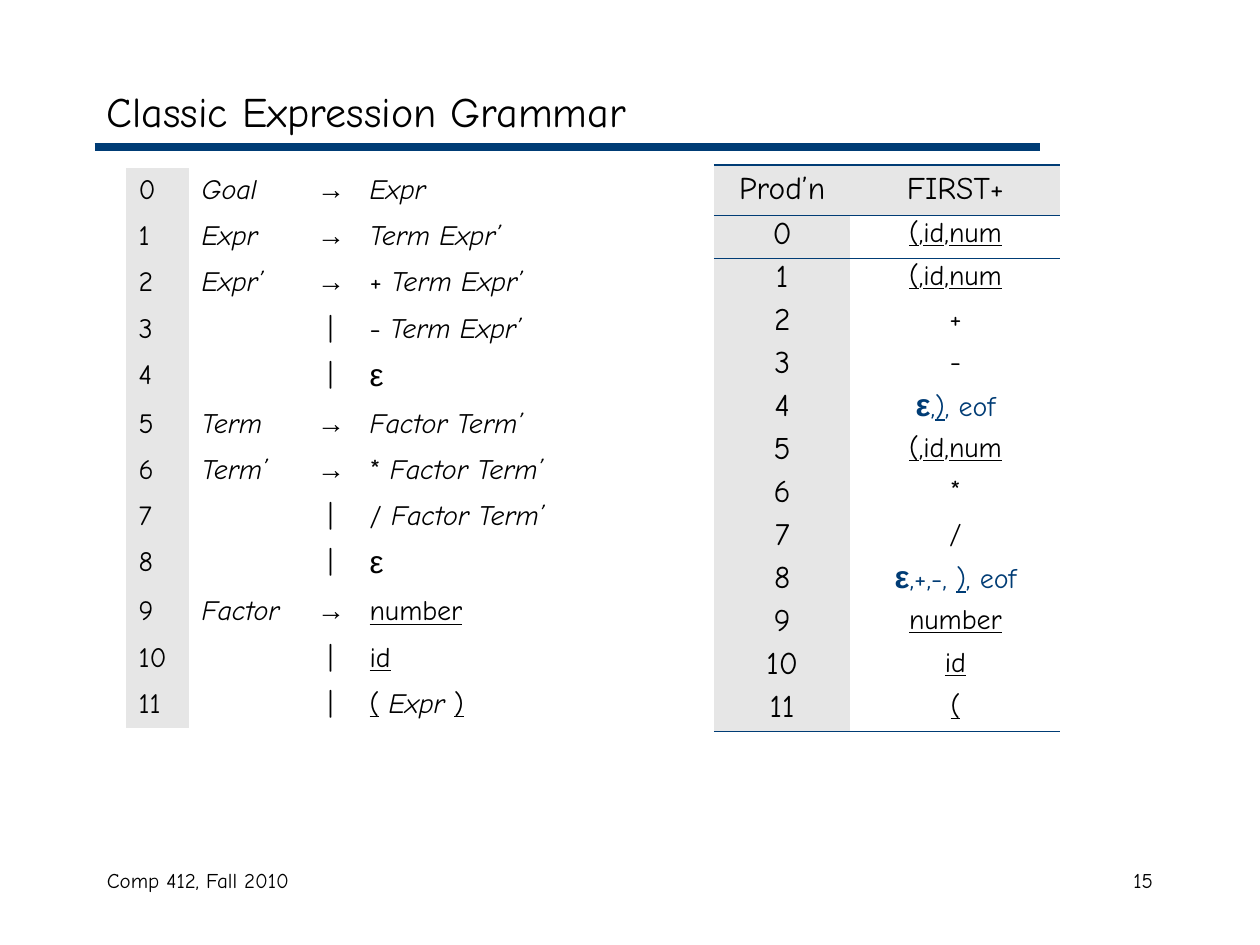
from lxml.etree import SubElement
from pptx import Presentation
from pptx.dml.color import RGBColor
from pptx.enum.shapes import MSO_CONNECTOR
from pptx.enum.text import MSO_ANCHOR, PP_ALIGN
from pptx.oxml.ns import qn
from pptx.util import Inches, Pt

COLORS = {"ink": "000000", "navy": "003C75", "grey": "E6E6E6"}
NO_STYLE_NO_GRID = "{2D5ABB26-0587-4C30-8999-92F81FD0307C}"
UNIT = Inches(1) / 12  # the slide is a grid of 120 columns and 90 rows


def write(frame, spans, size=16, color="ink", align=PP_ALIGN.LEFT, spacing=None, before=None):
    """Fill a frame with (text, style) spans; style letters: i italic, u underlined, a Arial,
    b bold, L large."""
    frame.word_wrap = True
    para = frame.paragraphs[0]
    para.alignment = align
    if spacing:
        para.line_spacing = spacing
    if before:
        para.space_before = Pt(before)
    for text, style in spans:
        span = para.add_run()
        span.text = text
        font = span.font
        font.name = "Arial" if "a" in style else "Comic Neue"
        font.size = Pt(18 if "L" in style else size)
        font.italic, font.underline, font.bold = ("i" in style), ("u" in style), ("b" in style)
        font.color.rgb = RGBColor.from_string(COLORS[color])
    if not spans:
        para._p.get_or_add_endParaRPr().set("sz", str(size * 100))


def add_plain_table(left, top, columns, rows):
    frame = page.shapes.add_table(len(rows), len(columns), int(left * UNIT), int(top * UNIT),
                                  int(sum(columns) * UNIT), int(sum(rows) * UNIT))
    table = frame.table
    table.first_row = table.horz_banding = False
    table._tbl.tblPr.find(qn("a:tableStyleId")).text = NO_STYLE_NO_GRID
    for column, width in zip(table.columns, columns):
        column.width = int(width * UNIT)
    for row, height in zip(table.rows, rows):
        row.height = int(height * UNIT)
    return table


deck = Presentation()
deck.slide_width, deck.slide_height = Inches(10), Inches(7.5)
page = deck.slides.add_slide(deck.slide_layouts[6])

rule = page.shapes.add_connector(MSO_CONNECTOR.STRAIGHT, *(int(n * UNIT) for n in (9, 14, 99, 14)))
rule.line.color.rgb = RGBColor.from_string(COLORS["navy"])
rule.line.width = Pt(4.5)
SubElement(rule._element.spPr, qn("a:effectLst"))

# Title, footer and page number
for text, place, size, align, anchor in [
    ("Classic Expression Grammar", (9, 7, 102, 7), 24, PP_ALIGN.LEFT, MSO_ANCHOR.MIDDLE),
    ("Comp 412, Fall 2010", (9, 82, 38, 6), 12, PP_ALIGN.LEFT, MSO_ANCHOR.TOP),
    ("15", (86, 82, 25, 6), 12, PP_ALIGN.RIGHT, MSO_ANCHOR.TOP),
]:
    box = page.shapes.add_textbox(*(int(n * UNIT) for n in place))
    box.text_frame.vertical_anchor = anchor
    write(box.text_frame, [(text, "")], size=size, align=align)

# FIRST+ sets, one for each production
token_set = [("(", "u"), (",", ""), ("id", "u"), (",", ""), ("num", "u")]
first_sets = [
    token_set,
    token_set,
    [("+", "")],
    [("-", "")],
    [("ε", "abL"), (",", ""), (")", "u"), (", eof", "")],
    token_set,
    [("*", "")],
    [("/", "")],
    [("ε", "abL"), (",+,-, ", ""), (")", "u"), (", eof", "")],
    [("number", "u")],
    [("id", "u")],
    [("(", "u")],
]
first_table = add_plain_table(68, 15.7, [13, 20], [4.8] + [4.1] * len(first_sets))
for column, heading in enumerate(["Prod’n", "FIRST+"]):
    write(first_table.cell(0, column).text_frame, [(heading, "")], size=18, align=PP_ALIGN.CENTER)
for number, spans in enumerate(first_sets):
    write(first_table.cell(number + 1, 0).text_frame, [(str(number), "")], size=18,
          align=PP_ALIGN.CENTER, spacing=0.8, before=4.5)
    write(first_table.cell(number + 1, 1).text_frame, spans, align=PP_ALIGN.CENTER, spacing=0.8,
          before=4, color="navy" if spans[0][0] == "ε" else "ink")

borders = [(0, "a:lnT", 1.08), (0, "a:lnB", 0.45), (1, "a:lnT", 0.45),
           (len(first_sets), "a:lnB", 1.08)]
for row, side, width in borders:
    for column in range(2):
        properties = first_table.cell(row, column)._tc.get_or_add_tcPr()
        edge = SubElement(properties, qn(side), w=str(int(Pt(width))))
        SubElement(SubElement(edge, qn("a:solidFill")), qn("a:srgbClr"), val=COLORS["navy"])

# Grammar: left side (empty for an alternative) and right side of each production
grammar = [
    ("Goal", [("Expr", "i")]),
    ("Expr", [("Term Expr’", "i")]),
    ("Expr’", [("+ ", ""), ("Term Expr’", "i")]),
    ("", [("- ", ""), ("Term Expr’", "i")]),
    ("", [("ε", "aL")]),
    ("Term", [("Factor Term’", "i")]),
    ("Term’", [("* ", ""), ("Factor Term’", "i")]),
    ("", [("/ ", ""), ("Factor Term’", "i")]),
    ("", [("ε", "aL")]),
    ("Factor", [("number", "u")]),
    ("", [("id", "u")]),
    ("", [("(", "u"), (" ", ""), ("Expr ", "i"), (")", "u")]),
]
row_heights = [4.65 if spans[0][0] == "ε" else 4.4 for _, spans in grammar]
grammar_table = add_plain_table(12, 16, [6, 11, 5, 21], row_heights)
for number, (symbol, spans) in enumerate(grammar):
    index_cell, symbol_cell, arrow_cell, body_cell = grammar_table.rows[number].cells
    write(index_cell.text_frame, [(str(number), "")])
    write(symbol_cell.text_frame, [(symbol, "i")] if symbol else [])
    write(arrow_cell.text_frame, [("→", "a") if symbol else ("|", "")], align=PP_ALIGN.CENTER)
    write(body_cell.text_frame, spans, spacing=0.95 if spans[0][0] == "ε" else None)

# Grey number columns and heading row; every other cell stays clear
for table, heading_rows in [(first_table, 1), (grammar_table, 0)]:
    for r, row in enumerate(table.rows):
        for c, cell in enumerate(row.cells):
            if c == 0 or r < heading_rows:
                cell.fill.solid()
                cell.fill.fore_color.rgb = RGBColor.from_string(COLORS["grey"])
            else:
                cell.fill.background()

deck.save("out.pptx")
